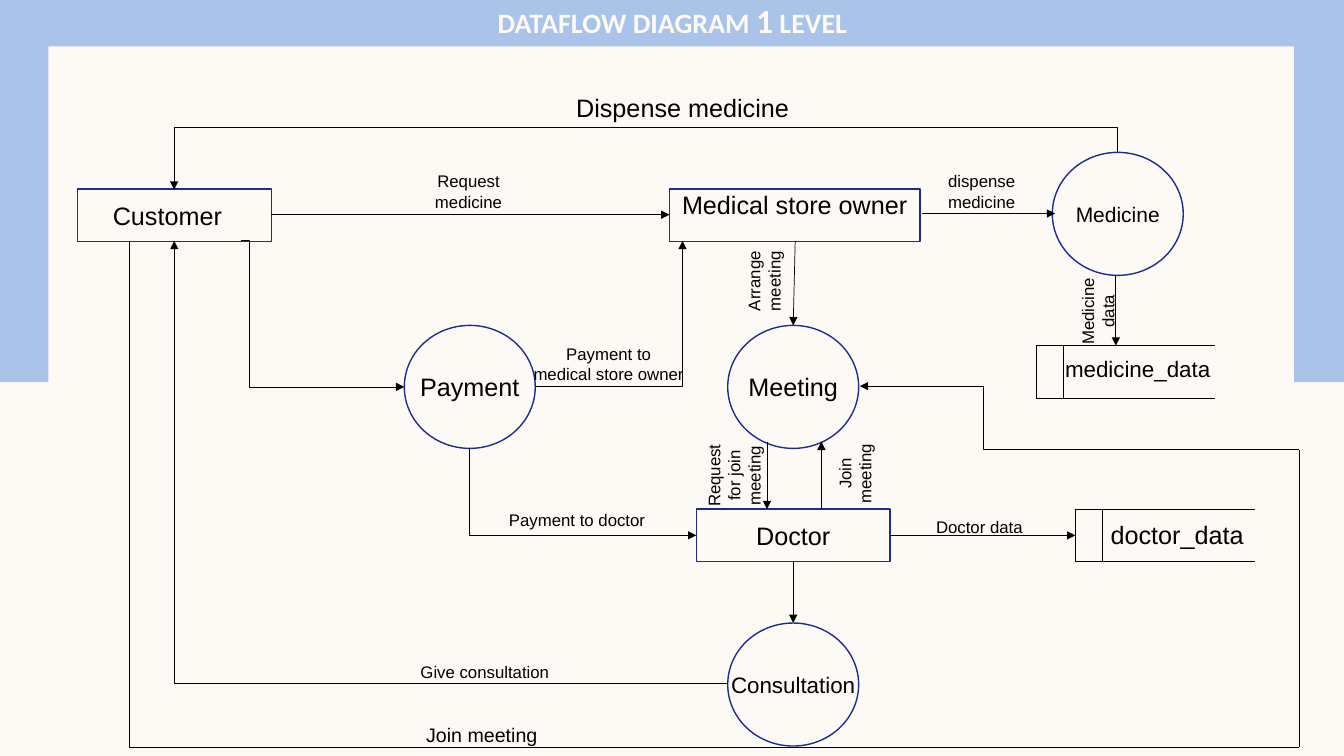
from dataclasses import dataclass

from lxml import etree
from pptx import Presentation
from pptx.dml.color import RGBColor
from pptx.enum.shapes import MSO_CONNECTOR, MSO_SHAPE
from pptx.enum.text import MSO_ANCHOR, PP_ALIGN
from pptx.oxml.ns import qn
from pptx.util import Cm, Pt

RECTANGLE, OVAL = MSO_SHAPE.RECTANGLE, MSO_SHAPE.OVAL
STRAIGHT, ELBOW = MSO_CONNECTOR.STRAIGHT, MSO_CONNECTOR.ELBOW
TOP, MIDDLE, BOTTOM = MSO_ANCHOR.TOP, MSO_ANCHOR.MIDDLE, MSO_ANCHOR.BOTTOM
LEFT, CENTER = PP_ALIGN.LEFT, PP_ALIGN.CENTER


@dataclass(frozen=True)
class Theme:
    cream: RGBColor = RGBColor(0xFD, 0xFA, 0xF6)
    sky: RGBColor = RGBColor(0xAA, 0xC3, 0xE8)
    navy: RGBColor = RGBColor(0x1F, 0x2C, 0x8F)
    black: RGBColor = RGBColor(0, 0, 0)
    body_font: str = "Arial"
    title_font: str = "Calibri"
    title: int = 20
    title_number: int = 24
    node: int = 18
    long_name: int = 16
    small_node: int = 15
    footer_flow: int = 14
    flow: int = 12


THEME = Theme()


def add_panel(slide, kind, left, top, width, height, fill, outline=None):
    shape = slide.shapes.add_shape(kind, Cm(left), Cm(top), Cm(width), Cm(height))
    shape.shadow.inherit = False
    shape.fill.solid()
    shape.fill.fore_color.rgb = fill
    if outline is None:
        shape.line.fill.background()
    else:
        shape.line.color.rgb = outline
        shape.line.width = Pt(1)
    return shape


def write(frame, text, size, alignment=CENTER):
    """Put each line of the text in a paragraph of its own."""
    frame.text = text
    for paragraph in frame.paragraphs:
        paragraph.alignment = alignment
        paragraph.font.name = THEME.body_font
        paragraph.font.size = Pt(size)
        paragraph.font.color.rgb = THEME.black


def add_title(slide):
    box = slide.shapes.add_textbox(Cm(7.6), Cm(-0.3), Cm(18.69), Cm(1.32))
    frame = box.text_frame
    frame.word_wrap = True
    frame.vertical_anchor = BOTTOM
    frame.margin_top = frame.margin_bottom = 0
    paragraph = frame.paragraphs[0]
    paragraph.alignment = CENTER
    paragraph.font.name = THEME.title_font
    paragraph.font.bold = True
    paragraph.font.color.rgb = THEME.cream
    for text, size in (("DATAFLOW DIAGRAM ", THEME.title),
                       ("1", THEME.title_number),
                       (" LEVEL", THEME.title)):
        run = paragraph.add_run()
        run.text = text
        run.font.size = Pt(size)


def add_entity(slide, text, left, top, width, anchor=MIDDLE, margin_right=0):
    shape = add_panel(slide, RECTANGLE, left, top, width, 1.32, THEME.cream, THEME.navy)
    frame = shape.text_frame
    frame.word_wrap = True
    frame.vertical_anchor = anchor
    frame.margin_left = frame.margin_top = frame.margin_bottom = 0
    frame.margin_right = Cm(margin_right)
    write(frame, text, THEME.node)


def add_process(slide, text, left, top, size=THEME.node):
    shape = add_panel(slide, OVAL, left, top, 3.3, 3.1, THEME.cream, THEME.navy)
    frame = shape.text_frame
    frame.word_wrap = False
    frame.vertical_anchor = MIDDLE
    frame.margin_left = frame.margin_right = 0
    write(frame, text, size)


def add_label(slide, text, left, top, width, size=THEME.flow, lines=1,
              alignment=CENTER, rotation=0):
    height = 0.25 + lines * size * 0.0423
    box = slide.shapes.add_textbox(Cm(left), Cm(top), Cm(width), Cm(height))
    box.rotation = rotation
    box.text_frame.word_wrap = True
    write(box.text_frame, text, size, alignment)


def add_line(slide, start, end, arrow=False, kind=STRAIGHT):
    points = [Cm(value) for value in (*start, *end)]
    connector = slide.shapes.add_connector(kind, *points)
    connector.line.color.rgb = THEME.black
    connector.line.width = Pt(0.5)
    if arrow:
        line = connector.line._get_or_add_ln()
        etree.SubElement(line, qn("a:tailEnd"), type="triangle")
    etree.SubElement(connector._element.spPr, qn("a:effectLst"))
    return connector


def add_elbow(slide, start, end, turns=0, bend=None):
    """Draw a bent arrow turned by quarter turns; without a bend it has one corner."""
    center_x, center_y = (start[0] + end[0]) / 2, (start[1] + end[1]) / 2
    dx, dy = start[0] - center_x, start[1] - center_y
    for _ in range(-turns % 4):
        dx, dy = -dy, dx
    connector = add_line(slide, (center_x + dx, center_y + dy),
                         (center_x - dx, center_y - dy), True, ELBOW)
    properties = connector._element.spPr
    if turns:
        properties.find(qn("a:xfrm")).set("rot", str(turns * 5400000))
    geometry = properties.find(qn("a:prstGeom"))
    if bend is None:
        geometry.set("prst", "bentConnector2")
    else:
        guides = geometry.find(qn("a:avLst"))
        etree.SubElement(guides, qn("a:gd"), name="adj1", fmla=f"val {round(bend * 100000)}")


def add_data_store(slide, text, left, top, text_left, size):
    right, bottom, divider = left + 4.52, top + 1.32, left + 0.69
    for y in (top, bottom):
        add_line(slide, (left, y), (right, y))
    for x in (left, divider):
        add_line(slide, (x, top), (x, bottom))
    add_label(slide, text, text_left, top + 0.12, 5, size, alignment=LEFT)


def add_flows(slide):
    for start, end in (
        ((6.83, 5.41), (16.87, 5.41)),    # customer to store owner
        ((23.24, 5.38), (26.59, 5.38)),   # store owner to medicine
        ((20.04, 6.07), (19.99, 8.2)),    # store owner to meeting
        ((19.33, 11.13), (19.33, 12.83)), # meeting to doctor
        ((20.7, 12.83), (20.7, 11.13)),   # doctor to meeting
        ((19.99, 14.15), (19.99, 15.7)),  # doctor to consultation
        ((22.43, 13.49), (27.1, 13.49)),  # doctor to doctor_data
        ((28.12, 6.96), (28.12, 8.71)),   # medicine to medicine_data
    ):
        add_line(slide, start, end, arrow=True)

    add_elbow(slide, (28.17, 3.84), (4.39, 4.78), turns=3, bend=-0.68)
    add_elbow(slide, (6.07, 6.07), (10.19, 9.75), bend=0.05)
    add_elbow(slide, (13.49, 9.75), (17.2, 6.07), bend=1)
    add_elbow(slide, (18.34, 17.22), (4.39, 6.07), turns=2)
    add_elbow(slide, (11.84, 11.3), (17.55, 13.49), turns=3)

    join_route = ((3.25, 6.07), (3.25, 18.82), (32.74, 18.82), (32.74, 11.33))
    for start, end in zip(join_route, join_route[1:]):
        add_line(slide, start, end)
    add_elbow(slide, join_route[-1], (21.67, 9.73), turns=2, bend=0.72)


def add_flow_labels(slide):
    add_label(slide, "Dispense medicine", 14.27, 2.21, 7.85, THEME.node, alignment=LEFT)
    add_label(slide, "Request medicine", 10.26, 4.19, 3.1, lines=2)
    add_label(slide, "dispense medicine", 23.19, 4.19, 3.1, lines=2)
    add_label(slide, "Payment to\nmedical store owner", 12.9, 8.53, 4.88, lines=2)
    add_label(slide, "Payment to doctor", 12.5, 12.73, 4.09)
    add_label(slide, "Give consultation", 9.73, 16.56, 4.98)
    add_label(slide, "Doctor data", 23.34, 12.9, 4.8, alignment=LEFT)
    add_label(slide, "Join meeting", 10.49, 18.08, 5.72, THEME.footer_flow, alignment=LEFT)
    for text, left, top, lines in (
        ("Arrange meeting", 17.7, 6.45, 2),
        ("Request\nfor join\nmeeting", 16.94, 11.1, 3),
        ("Join\nmeeting", 19.99, 11.3, 2),
        ("Medicine\ndata", 26.11, 7.21, 2),
    ):
        add_label(slide, text, left, top, 3.1, lines=lines, rotation=270)


def main():
    presentation = Presentation()
    presentation.slide_width, presentation.slide_height = Cm(33.87), Cm(19.05)
    slide = presentation.slides.add_slide(presentation.slide_layouts[6])
    slide.background.fill.solid()
    slide.background.fill.fore_color.rgb = THEME.cream

    add_panel(slide, RECTANGLE, 0, 0, 33.87, 9.63, THEME.sky)
    add_panel(slide, RECTANGLE, 1.22, 1.17, 31.39, 16.74, THEME.cream)
    add_title(slide)

    add_entity(slide, "Customer", 1.96, 4.76, 4.88, margin_right=0.36)
    add_entity(slide, "Medical store owner", 16.87, 4.76, 6.32, anchor=TOP)
    add_entity(slide, "Doctor", 17.55, 12.83, 4.88)
    add_process(slide, "Medicine", 26.52, 3.84, THEME.small_node)
    add_process(slide, "Meeting", 18.34, 8.2)
    add_process(slide, "Consultation", 18.34, 15.7, THEME.long_name)
    add_process(slide, "Payment", 10.19, 8.2)
    add_data_store(slide, "doctor_data", 27.1, 12.83, 27.74, THEME.node)
    add_data_store(slide, "medicine_data", 26.11, 8.71, 26.59, THEME.long_name)

    add_flows(slide)
    add_flow_labels(slide)
    presentation.save("out.pptx")


if __name__ == "__main__":
    main()
